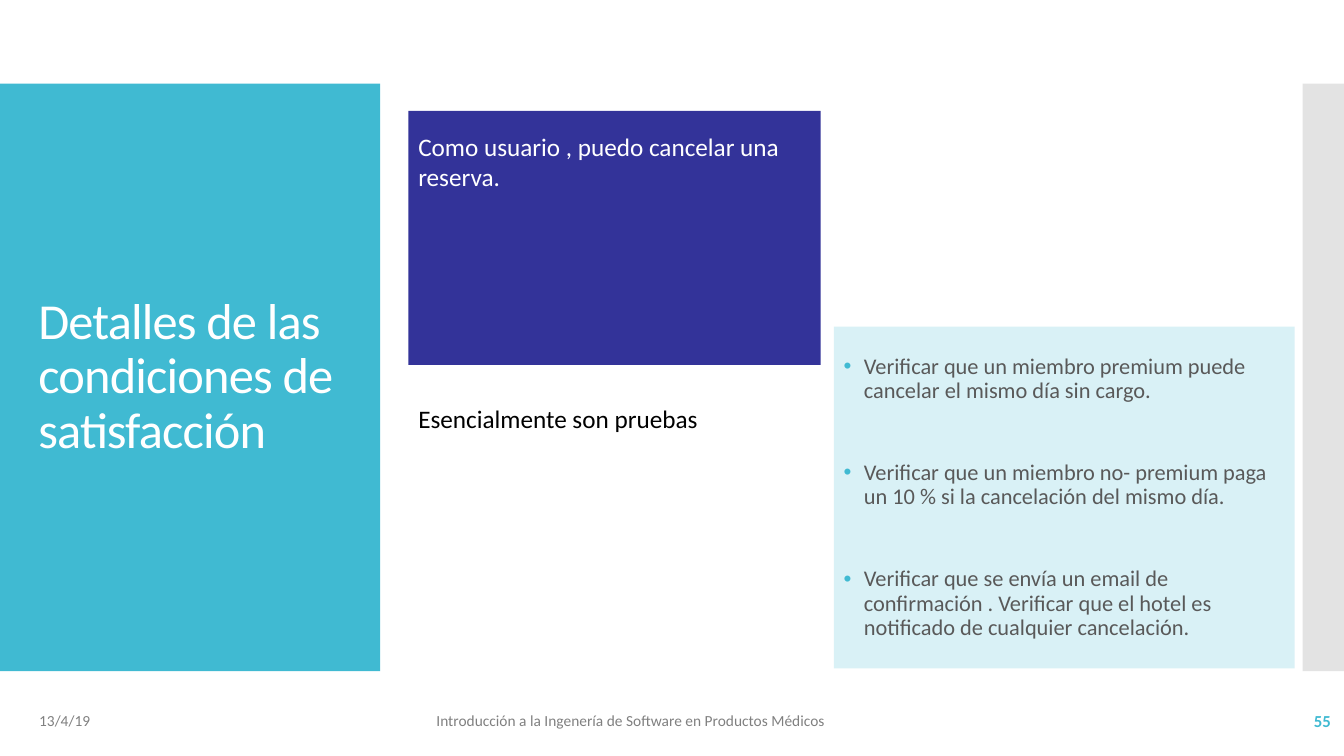
from lxml import etree
from pptx import Presentation
from pptx import util as u
from pptx.dml.color import RGBColor
from pptx.enum import shapes, text
from pptx.oxml import ns

TEAL, PALE_TEAL, INDIGO = "40BAD2", "D9F1F6", "333399"
WHITE, BLACK, BODY_GREY, FOOTER_GREY, EDGE_GREY = "FFFFFF", "000000", "595959", "808080", "C8C8C8"


def color(hex_value):
    return RGBColor.from_string(hex_value)


def sub(parent, tag, **attributes):
    return etree.SubElement(parent, ns.qn(tag), attributes)


class SlideBuilder:
    font = "Calibri"

    def __init__(self, prs):
        self.slide = prs.slides.add_slide(prs.slide_layouts[5])

    def panel(self, box, fill, opacity=None):
        shape = self.slide.shapes.add_shape(
            shapes.MSO_SHAPE.RECTANGLE, *map(u.Inches, box))
        shape.shadow.inherit = False
        shape.fill.solid()
        shape.fill.fore_color.rgb = color(fill)
        shape.line.fill.background()
        if opacity is not None:
            rgb = shape._element.spPr.find(".//" + ns.qn("a:srgbClr"))
            sub(rgb, "a:alpha", val=str(opacity * 1000))
        return shape

    def frame(self, shape, anchor=text.MSO_ANCHOR.MIDDLE, wrap=True):
        frame = shape.text_frame
        frame.auto_size = text.MSO_AUTO_SIZE.NONE
        frame.word_wrap = wrap
        frame.vertical_anchor = anchor
        return frame

    def add_words(self, paragraph, words, size, ink, align=text.PP_ALIGN.LEFT, bold=False):
        paragraph.alignment = align
        run = paragraph.add_run()
        run.text = words
        run.font.name = self.font
        run.font.size = u.Pt(size)
        run.font.bold = bold
        run.font.color.rgb = color(ink)
        return run

    def title(self, box, words, size, ink):
        title = self.slide.shapes.title
        title.left, title.top, title.width, title.height = map(u.Inches, box)
        paragraph = self.frame(title).paragraphs[0]
        paragraph.line_spacing = 0.9
        run = self.add_words(paragraph, words, size, ink)
        run.font._element.set("spc", "-60")
        # Bring the title in front of its panel
        self.slide.shapes._spTree.append(title._element)

    def label(self, box, words, size, ink, anchor=text.MSO_ANCHOR.MIDDLE, wrap=True, **style):
        label = self.slide.shapes.add_textbox(*map(u.Inches, box))
        frame = self.frame(label, anchor, wrap)
        self.add_words(frame.paragraphs[0], words, size, ink, **style)

    def bullets(self, shape, items, size, ink, bullet_ink, gap):
        frame = self.frame(shape)
        for index, item in enumerate(items):
            paragraph = frame.add_paragraph() if index else frame.paragraphs[0]
            paragraph.line_spacing = 0.9
            paragraph.space_before = u.Pt(gap if index else 0)
            props = paragraph._p.get_or_add_pPr()
            props.set("marL", str(u.Inches(0.2)))
            props.set("indent", str(u.Inches(-0.2)))
            sub(sub(props, "a:buClr"), "a:srgbClr", val=bullet_ink)
            sub(props, "a:buFont", typeface="Arial")
            sub(props, "a:buChar", char="•")
            self.add_words(paragraph, item, size, ink)


def main():
    prs = Presentation()
    prs.slide_width, prs.slide_height = u.Inches(13.33), u.Inches(7.5)
    page = SlideBuilder(prs)

    # Side panels and title
    page.panel((0, 0.83, 3.77, 5.83), TEAL)
    page.panel((12.92, 0.83, 0.41, 5.83), EDGE_GREY, opacity=50)
    page.title((0.28, 1.23, 3.22, 5.03), "Detalles de las condiciones de satisfacción", 36, WHITE)

    # Conditions of satisfaction
    conditions = page.panel((8.27, 3.24, 4.57, 3.39), PALE_TEAL)
    page.bullets(conditions, [
        "Verificar que un miembro premium puede cancelar el mismo día sin cargo.",
        "Verificar que un miembro no- premium paga un 10 % si la cancelación del mismo día.",
        "Verificar que se envía un email de confirmación . "
        "Verificar que el hotel es notificado de cualquier cancelación.",
    ], 16, BODY_GREY, TEAL, gap=41.5)

    # User story card and its remark
    story = page.panel((4.05, 1.1, 4.09, 2.52), INDIGO)
    story_frame = page.frame(story, text.MSO_ANCHOR.TOP)
    story_frame.margin_top = u.Inches(0.2)
    page.add_words(story_frame.paragraphs[0], "Como usuario , puedo cancelar una reserva.", 18, WHITE)
    page.label((4.05, 3.95, 3.11, 0.4), "Esencialmente son pruebas", 18, BLACK,
               anchor=text.MSO_ANCHOR.TOP, wrap=False)

    # Footer
    page.label((0.29, 6.95, 3, 0.4), "13/4/19", 11, FOOTER_GREY)
    page.label((4.23, 6.95, 6.46, 0.4),
               "Introducción a la Ingenería de Software en Productos Médicos", 11, FOOTER_GREY)
    page.label((11.63, 6.95, 1.67, 0.4), "55", 12, TEAL, align=text.PP_ALIGN.RIGHT, bold=True)

    prs.save("out.pptx")


if __name__ == "__main__":
    main()
